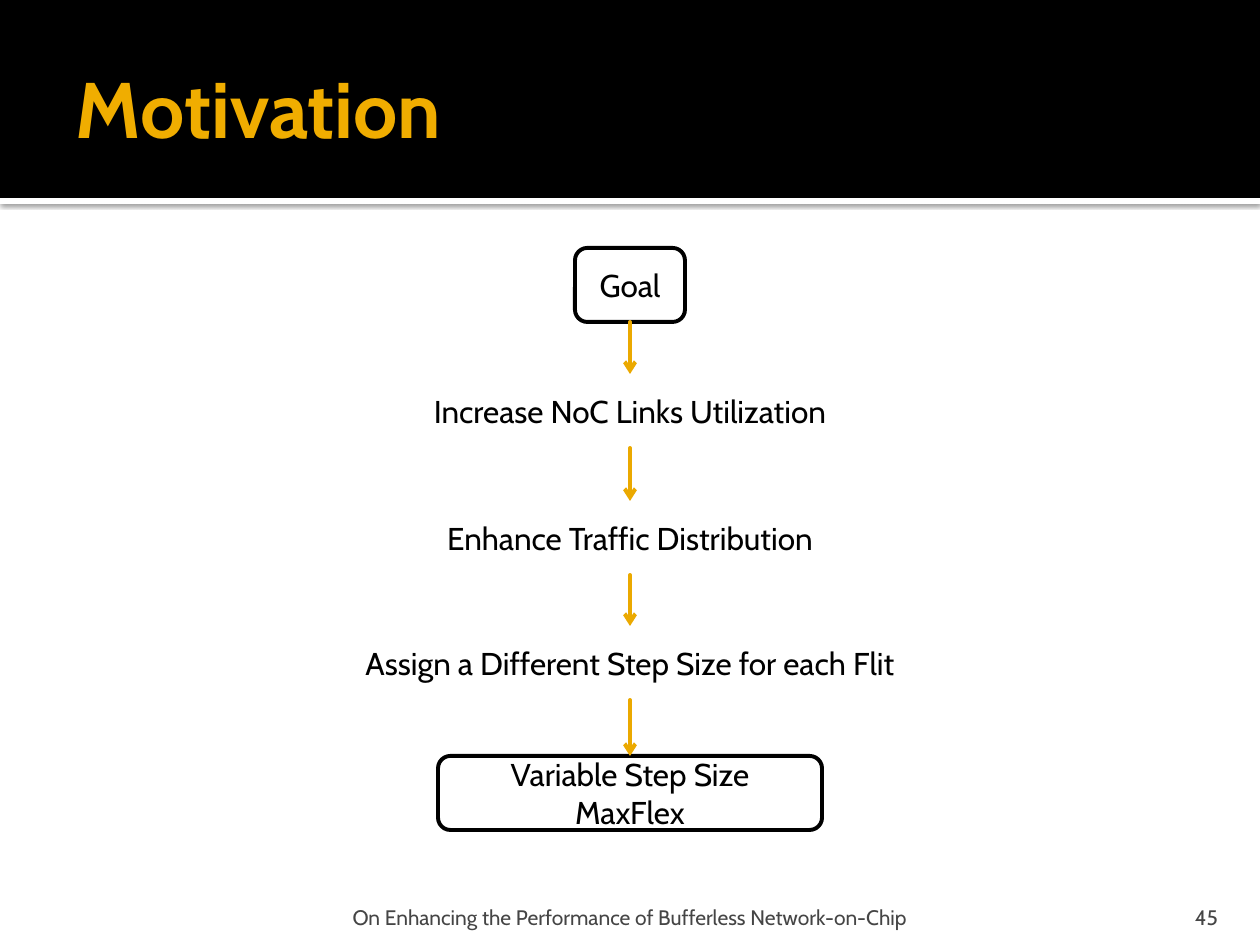
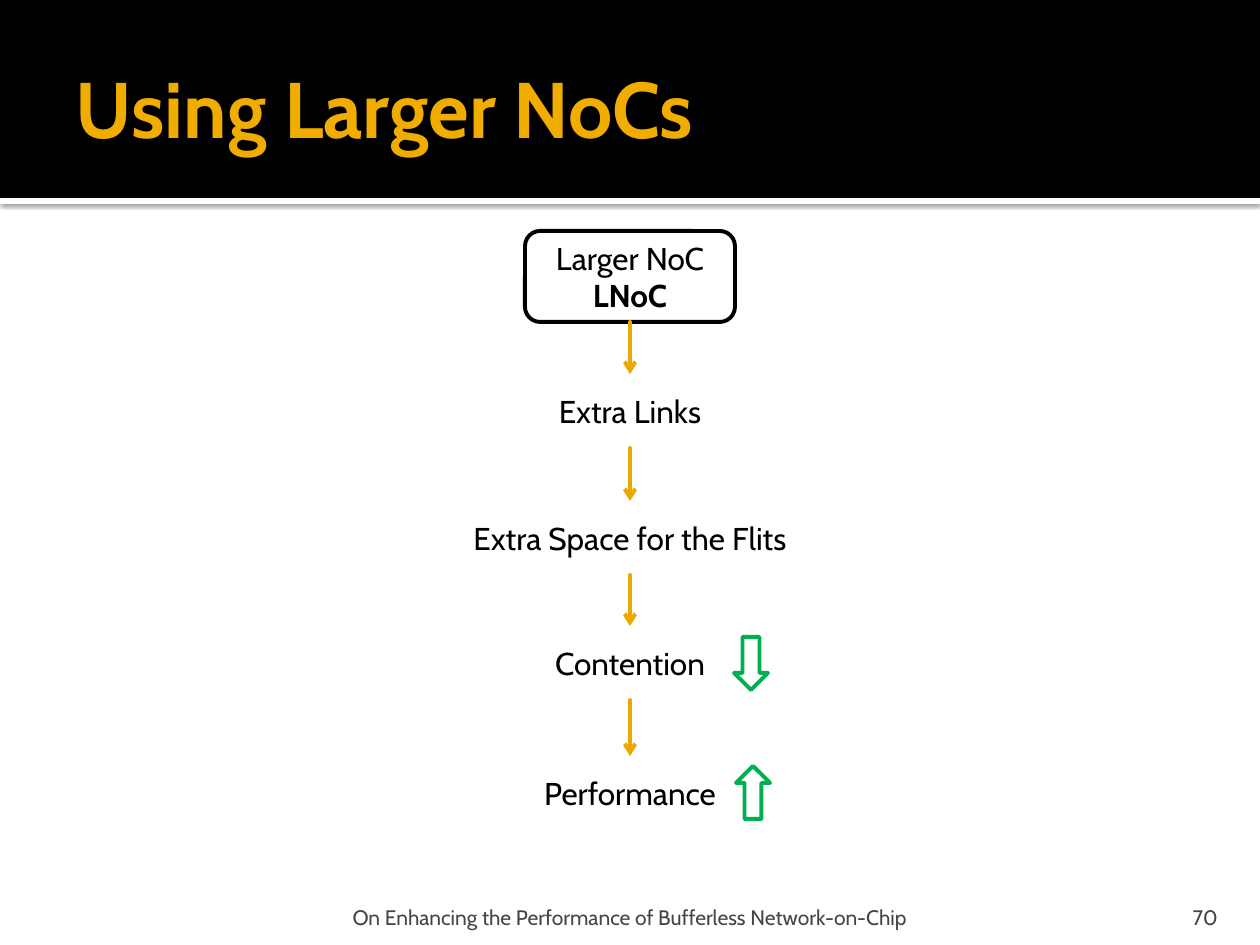
"""Build two flow-chart slides on bufferless networks-on-chip."""
from lxml import etree
from pptx import Presentation
from pptx.dml.color import RGBColor
from pptx.enum.shapes import MSO_CONNECTOR, MSO_SHAPE
from pptx.enum.text import MSO_ANCHOR, PP_ALIGN
from pptx.oxml.ns import qn
from pptx.util import Pt

RECTANGLE, ROUNDED = MSO_SHAPE.RECTANGLE, MSO_SHAPE.ROUNDED_RECTANGLE
DOWN, UP = MSO_SHAPE.DOWN_ARROW, MSO_SHAPE.UP_ARROW
STRAIGHT = MSO_CONNECTOR.STRAIGHT
LEFT, CENTER, RIGHT = PP_ALIGN.LEFT, PP_ALIGN.CENTER, PP_ALIGN.RIGHT
MIDDLE, BOTTOM = MSO_ANCHOR.MIDDLE, MSO_ANCHOR.BOTTOM

FONT = "Cabin"
COLORS = {
    "black": "000000",
    "white": "FFFFFF",
    "title": "F0AD00",
    "footer": "454545",
    "flow": "EBA900",
    "trend": "00B050",
}
FOOTER = "On Enhancing the Performance of Bufferless Network-on-Chip"

# Each step: lines of (text, bold), box width, box height, outlined
SLIDES = [
    {
        "title": "Motivation",
        "number": "45",
        "steps": [
            ([("Goal", False)], 110, 74, True),
            ([("Increase NoC Links Utilization", False)], 766, 74, False),
            ([("Enhance Traffic Distribution", False)], 414, 74, False),
            ([("Assign a Different Step Size for each Flit", False)], 567, 74, False),
            ([("Variable Step Size MaxFlex", False)], 384, 74, True),
        ],
        "trends": [],
    },
    {
        "title": "Using Larger NoCs",
        "number": "70",
        "steps": [
            ([("Larger NoC", False), ("LNoC", True)], 210, 91, True),
            ([("Extra Links", False)], 766, 74, False),
            ([("Extra Space for the Flits", False)], 414, 74, False),
            ([("Contention", False)], 546, 74, False),
            ([("Performance", False)], 384, 74, False),
        ],
        "trends": [(DOWN, 734, 637), (UP, 736, 766)],
    },
]

PX = 914400 / 126
WIDTH, HEIGHT = 1260, 945
HEADER_HEIGHT, BAND_HEIGHT = 198, 6
STEP_BOTTOMS = [322, 448, 575, 700, 830]
TREND_SIZE = (34, 53)
LINE_WIDTH = 2.25


def emu(pixels):
    return round(pixels * PX)


def color(name):
    return RGBColor.from_string(COLORS[name])


def style_line(line, name):
    line.color.rgb = color(name)
    line.width = Pt(LINE_WIDTH)


def add_figure(slide, kind, box, fill, outline=None):
    shape = slide.shapes.add_shape(kind, *map(emu, box))
    shape.shadow.inherit = False
    shape.fill.solid()
    shape.fill.fore_color.rgb = color(fill)
    if outline:
        style_line(shape.line, outline)
    else:
        shape.line.fill.background()
    return shape


def write(frame, lines, size, name, alignment, anchor):
    frame.word_wrap = True
    frame.vertical_anchor = anchor
    for index, (text, bold) in enumerate(lines):
        paragraph = frame.add_paragraph() if index else frame.paragraphs[0]
        paragraph.alignment = alignment
        run = paragraph.add_run()
        run.text = text
        run.font.name = FONT
        run.font.size = Pt(size)
        run.font.bold = bold
        run.font.color.rgb = color(name)


def add_label(slide, box, insets, line, size, name, alignment, anchor):
    frame = slide.shapes.add_textbox(*map(emu, box)).text_frame
    frame.margin_left, frame.margin_top, frame.margin_right, frame.margin_bottom = map(emu, insets)
    write(frame, [line], size, name, alignment, anchor)


def add_frame(slide, title, number):
    band = add_figure(slide, RECTANGLE, (0, HEADER_HEIGHT, WIDTH, BAND_HEIGHT), "white")
    effects = band._element.spPr.find(qn("a:effectLst"))
    shadow = etree.SubElement(effects, qn("a:outerShdw"), blurRad=str(Pt(2.5)),
                              dist=str(Pt(0.8)), dir="5400000", rotWithShape="0")
    shade = etree.SubElement(shadow, qn("a:srgbClr"), val=COLORS["black"])
    etree.SubElement(shade, qn("a:alpha"), val="60000")
    add_figure(slide, RECTANGLE, (0, 0, WIDTH, HEADER_HEIGHT), "black")
    add_label(slide, (63, 21, 1134, 173), (13, 6, 6, 6), (title, True), 45, "title", LEFT, MIDDLE)
    add_label(slide, (251, 892, 758, 38), (6, 6, 6, 0), (FOOTER, False), 12, "footer", CENTER, BOTTOM)
    add_label(slide, (1130, 892, 101, 38), (13, 6, 13, 0), (number, False), 12, "footer", RIGHT, BOTTOM)


def add_flow_arrow(slide, top, bottom):
    center = WIDTH // 2
    connector = slide.shapes.add_connector(STRAIGHT, *map(emu, (center, top, center, bottom)))
    style_line(connector.line, "flow")
    properties = connector._element.spPr
    line = properties.find(qn("a:ln"))
    line.set("cap", "rnd")
    etree.SubElement(line, qn("a:tailEnd"), type="arrow")
    etree.SubElement(properties, qn("a:effectLst"))


def add_flow(slide, steps):
    tops = []
    for (lines, width, height, outlined), bottom in zip(steps, STEP_BOTTOMS):
        top = bottom - height
        box = ((WIDTH - width) / 2, top, width, height)
        shape = add_figure(slide, ROUNDED, box, "white", "black" if outlined else None)
        write(shape.text_frame, lines, 18, "black", CENTER, MIDDLE)
        tops.append(top)
    for bottom, next_top in zip(STEP_BOTTOMS, tops[1:]):
        add_flow_arrow(slide, bottom, next_top)


def main():
    presentation = Presentation()
    presentation.slide_width, presentation.slide_height = emu(WIDTH), emu(HEIGHT)
    for content in SLIDES:
        slide = presentation.slides.add_slide(presentation.slide_layouts[6])
        add_frame(slide, content["title"], content["number"])
        add_flow(slide, content["steps"])
        for kind, left, top in content["trends"]:
            add_figure(slide, kind, (left, top, *TREND_SIZE), "white", "trend")
    presentation.save("out.pptx")


if __name__ == "__main__":
    main()
